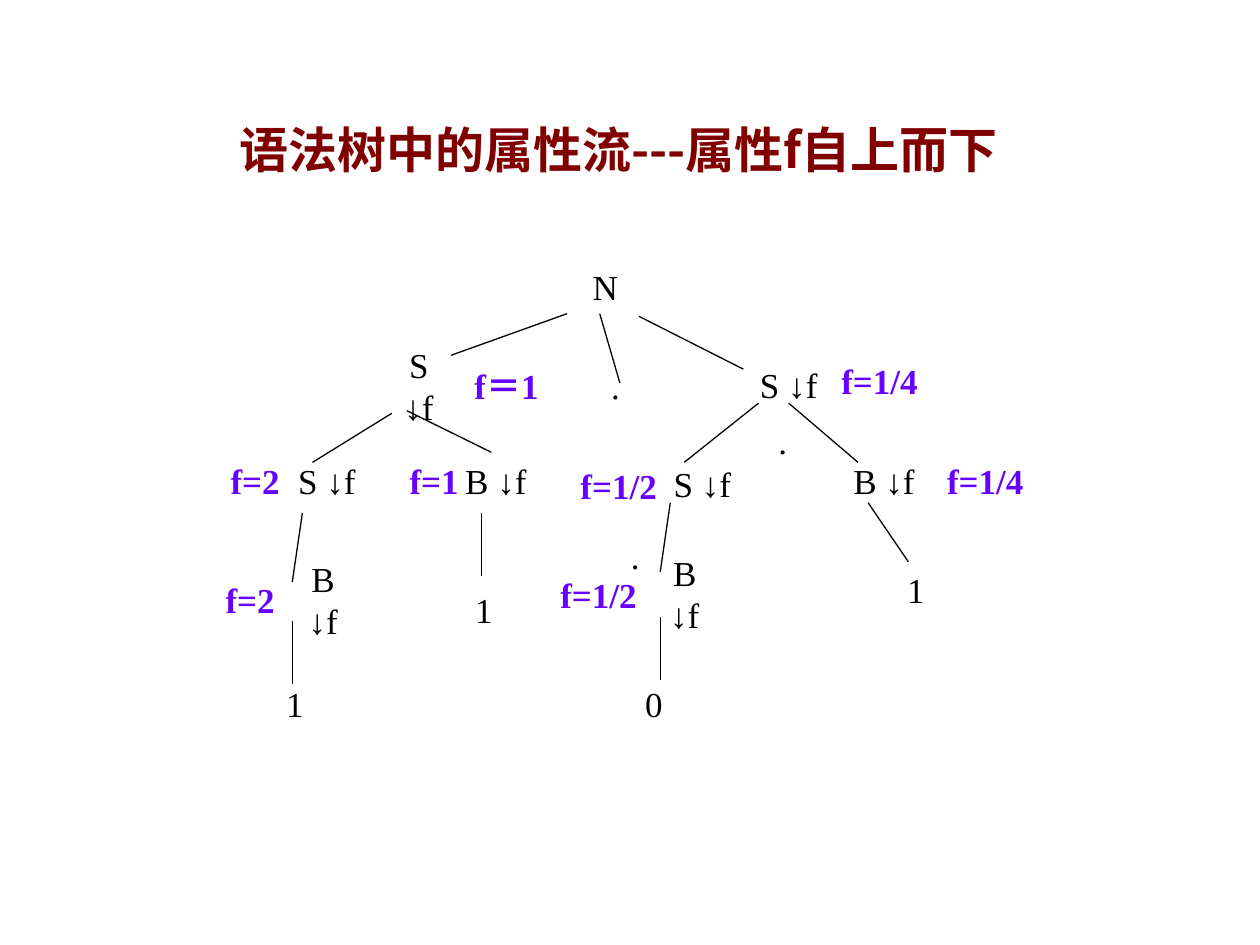
from lxml.etree import SubElement
from pptx import Presentation
from pptx.dml.color import RGBColor
from pptx.enum.shapes import MSO_CONNECTOR
from pptx.enum.text import MSO_ANCHOR, MSO_AUTO_SIZE, PP_ALIGN
from pptx.oxml.ns import qn
from pptx.util import Inches, Pt

COLORS = {"title": "800000", "tree": "000000", "value": "6600FF"}
CELL = Inches(0.1)
BOX_ROWS = 4.4
SERIF, ARROW_FONT, TITLE_FONT = "Times New Roman", "Arial", "Noto Sans CJK SC"

NODES = [
    ("N", 44.5, 20.5, 7.1),
    ("S ↓f", 30.1, 28.4, 6.3),
    (".", 45.7, 28.4, 6.3),
    ("S ↓f", 51.6, 28.3, 22),
    ("S ↓f", 22.3, 35.9, 7.3),
    ("B ↓f", 35.7, 35.9, 7.3),
    ("S ↓f", 51.9, 36.2, 7.7),
    ("B ↓f", 65.4, 35.9, 9.5),
    (".", 60.8, 32.8, 2),
    ("B ↓f", 22.5, 45.4, 6.3),
    ("1", 36.7, 46.2, 3.4),
    (".", 49.1, 41.9, 2),
    ("B ↓f", 51.2, 44.9, 6.3),
    ("1", 71, 44.6, 3.4),
    ("1", 21.7, 53.6, 3.4),
    ("0", 47.9, 53.6, 8),
]
VALUES = [
    ("f＝1", 36, 28.4, 8.4),
    ("f=1/4", 65.4, 28, 8.8),
    ("f=2", 17.3, 35.9, 5.9),
    ("f=1", 31.5, 35.9, 5.9),
    ("f=1/2", 44.7, 36.3, 8.8),
    ("f=1/4", 73.8, 35.9, 8.8),
    ("f=2", 16.9, 45.4, 5.9),
    ("f=1/2", 43.1, 45, 8.8),
]
BRANCHES = [
    (45, 24.9, 35.8, 28.2),
    (47.6, 24.9, 49.2, 30.4),
    (50.7, 25.1, 59, 29.3),
    (31.1, 32.8, 24.8, 36.7),
    (32.3, 32.6, 39, 35.9),
    (60.2, 32, 54.3, 36.7),
    (62.6, 32, 68.1, 36.7),
    (24, 40.7, 23.2, 46.2),
    (38.2, 40.7, 38.2, 45.7),
    (53.2, 39.9, 52.4, 45.4),
    (68.9, 39.9, 72.1, 44.6),
    (23.2, 49.3, 23.2, 54.3),
    (52.4, 49, 52.4, 54),
]


def grid(*cells):
    """Turn counts of grid cells into slide lengths."""
    return [round(n * CELL) for n in cells]


def style(p, size, color, bold):
    """Centre a paragraph and set its shared font."""
    p.alignment = PP_ALIGN.CENTER
    p.font.size = Pt(size)
    p.font.bold = bold
    p.font.color.rgb = RGBColor.from_string(COLORS[color])


def add_title(s, text):
    """Fill and place the title placeholder."""
    sp = s.shapes.title
    sp.left, sp.top, sp.width, sp.height = grid(13, 9, 72.2, 5.7)
    tf = sp.text_frame
    tf.text = text
    tf.auto_size = MSO_AUTO_SIZE.NONE
    tf.vertical_anchor = MSO_ANCHOR.MIDDLE
    p = tf.paragraphs[0]
    style(p, 28, "title", True)
    p.font.name = TITLE_FONT
    props = p._p.pPr.find(qn("a:defRPr"))
    SubElement(props, qn("a:ea"), typeface=TITLE_FONT)


def add_label(s, text, col, row, cols, color="tree", bold=False):
    """Add a label, with any down arrow in its own font."""
    tf = s.shapes.add_textbox(*grid(col, row, cols, BOX_ROWS)).text_frame
    tf.word_wrap = "↓" in text
    tf.vertical_anchor = MSO_ANCHOR.MIDDLE
    p = tf.paragraphs[0]
    style(p, 20, color, bold)
    p.font.name = SERIF
    before, arrow, after = text.partition("↓")
    for part in filter(None, (before, arrow, after)):
        r = p.add_run()
        r.text = part
        if part == arrow:
            r.font.name = ARROW_FONT


def add_branch(s, *ends):
    """Draw a thin tree branch between two grid points."""
    line = s.shapes.add_connector(MSO_CONNECTOR.STRAIGHT, *grid(*ends))
    line.line.width = Pt(0.75)
    line.line.color.rgb = RGBColor.from_string(COLORS["tree"])
    SubElement(line._element.spPr, qn("a:effectLst"))


def main():
    """Build the attribute flow slide."""
    prs = Presentation()
    prs.slide_width, prs.slide_height = grid(100, 75)
    s = prs.slides.add_slide(prs.slide_layouts[5])
    add_title(s, "语法树中的属性流---属性f自上而下")
    for branch in BRANCHES:
        add_branch(s, *branch)
    for node in NODES:
        add_label(s, *node)
    for value in VALUES:
        add_label(s, *value, color="value", bold=True)
    prs.save("out.pptx")


if __name__ == "__main__":
    main()
